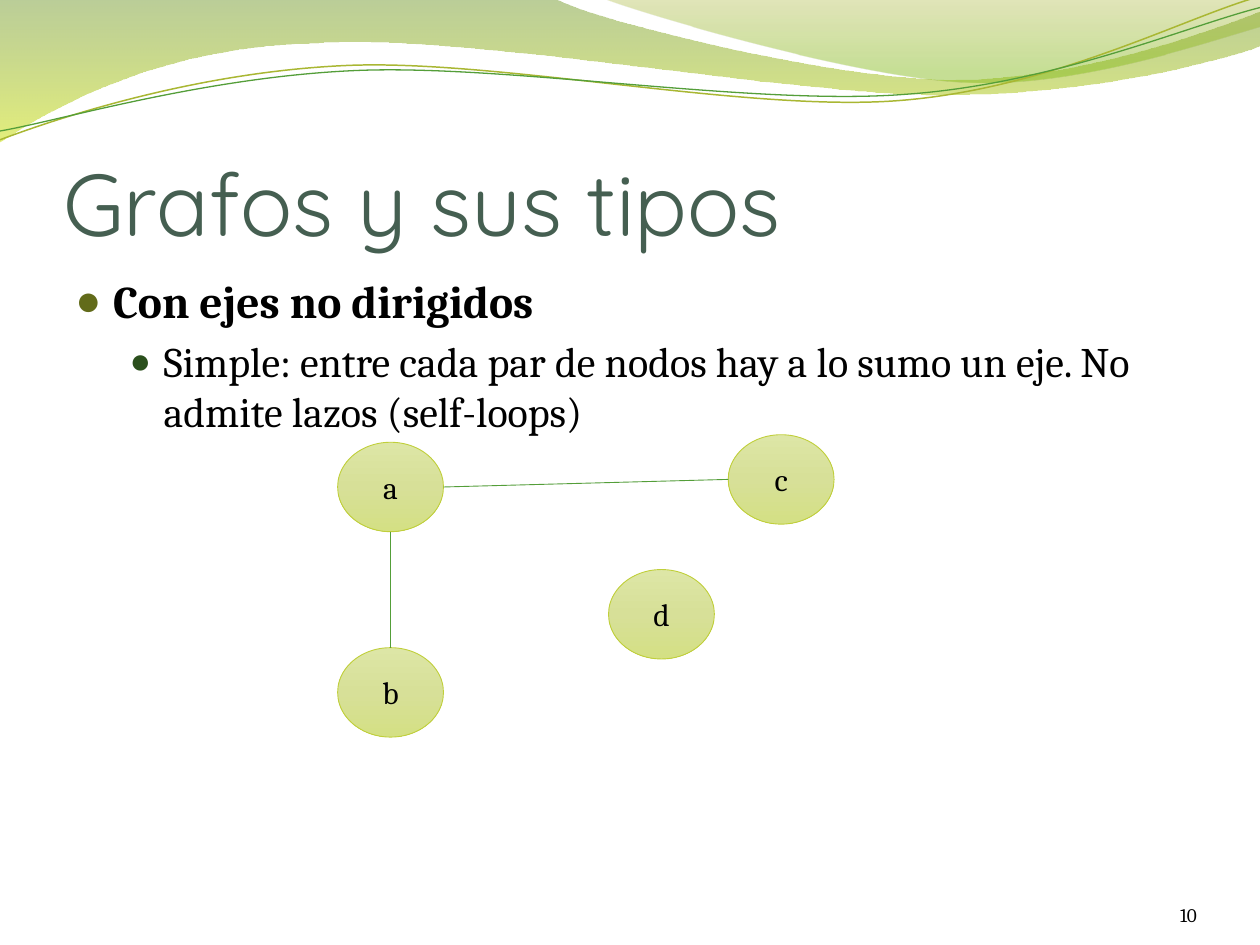
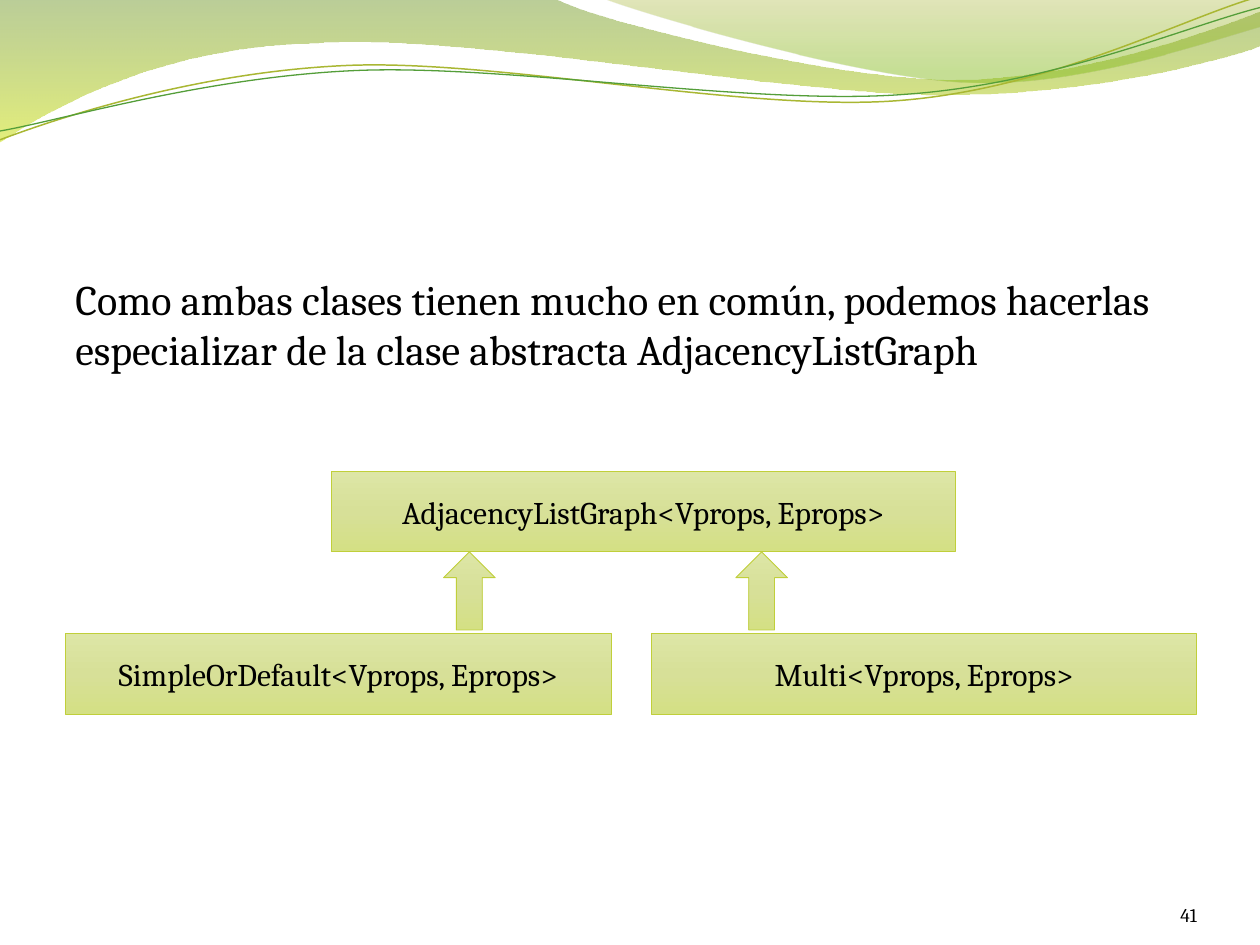
import pptx
import pptx.util
import pptx.dml.color
import pptx.enum.shapes
import pptx.enum.text
import pptx.oxml.ns
import lxml.etree

Inches = pptx.util.Inches
Pt = pptx.util.Pt
SHAPE = pptx.enum.shapes.MSO_SHAPE
ALIGN = pptx.enum.text.PP_ALIGN
ANCHOR = pptx.enum.text.MSO_ANCHOR
qn = pptx.oxml.ns.qn

BLACK = "000000"
TITLE_COLOR = "455F51"
EDGE_COLOR = "549E39"
BOX_LINE = "C0CF3A"
BOX_STOPS = [(0, "DDE6A6", 100), (50, "D7E098", 100), (100, "D4E084", 100)]
BODY_FONT = "Cambria"
TITLE_FONT = "Quicksand"
BULLET_FONT = "Arial"
BODY_BOX = (0.5, 2.12, 9, 4.8)
NUMBER_BOX = (8.67, 6.95, 0.83, 0.4)
NO_MARGINS = dict(margin_left=0, margin_right=0, margin_top=0, margin_bottom=0)
NODE_WIDTH, NODE_HEIGHT = 0.84, 0.71
BOX_HEIGHT = 0.64
FIRST_MASTER_ID = 100

BANDS = [
    {
        "start": (0, 0),
        "segments": [
            [(4.4, -0.01)],
            [(4.75, 0.17), (6.63, 0.63), (7.58, 0.63)],
            [(8.53, 0.63), (9.58, 0.26), (10, 0.09)],
            [(10.01, 0.36)],
            [(9.83, 0.44), (8.69, 0.76), (7.46, 0.75)],
            [(6.22, 0.75), (3.81, 0.28), (2.57, 0.34)],
            [(1.29, 0.36), (0.46, 0.83), (-0.01, 1.13)],
            [(0, 0)],
        ],
        "stops": [(0, "69921C", 45), (100, "CCE10F", 55)],
    },
    {
        "start": (4.79, -0.01),
        "segments": [
            [(5.09, 0.11), (6.82, 0.62), (7.68, 0.65)],
            [(8.55, 0.69), (9.61, 0.32), (10, 0.21)],
            [(10, 0)],
            [(4.79, -0.01)],
        ],
        "stops": [(0, "9BAA1A", 30), (80, "81BA16", 45)],
    },
    {
        "start": (0, 1.11),
        "segments": [
            [(0.48, 0.93), (1.57, 0.57), (2.76, 0.52)],
            [(3.95, 0.47), (5.92, 0.89), (7.12, 0.8)],
            [(8.33, 0.71), (9.38, 0.15), (9.97, -0.02)],
        ],
        "line": ("A9B733", 0.85),
    },
    {
        "start": (0, 1.04),
        "segments": [
            [(0.47, 0.96), (1.63, 0.61), (2.83, 0.56)],
            [(4.02, 0.51), (5.97, 0.84), (7.17, 0.75)],
            [(8.36, 0.67), (9.41, 0.21), (10, 0.06)],
        ],
        "line": (EDGE_COLOR, 0.75),
    },
]


def rgb(value):
    return pptx.dml.color.RGBColor.from_string(value)


def apply_format(target, values):
    for name, value in values.items():
        setattr(target, name, value)


def inches(values):
    return [Inches(value) for value in values]


def add_xml(parent, tag, **attributes):
    return lxml.etree.SubElement(parent, qn(tag), attributes)


def set_gradient(shape, stops):
    shape.fill.gradient()
    shape.fill.gradient_angle = 270
    stop_list = shape._element.spPr.find(".//" + qn("a:gsLst"))
    for stop in list(stop_list):
        stop_list.remove(stop)
    for position, color, opacity in stops:
        stop = add_xml(stop_list, "a:gs", pos=str(position * 1000))
        color_element = add_xml(stop, "a:srgbClr", val=color)
        if opacity < 100:
            add_xml(color_element, "a:alpha", val=str(opacity * 1000))


def set_line(shape, color, width):
    shape.line.color.rgb = rgb(color)
    shape.line.width = Pt(width)


def write_text(paragraph, text, size, font=BODY_FONT, color=BLACK, bold=False, **layout):
    apply_format(paragraph, layout)
    run = paragraph.add_run()
    run.text = text
    apply_format(run.font, dict(size=Pt(size), name=font, bold=bold))
    run.font.color.rgb = rgb(color)


def set_bullet(paragraph, margin, hang, color, percent):
    properties = paragraph._p.get_or_add_pPr()
    properties.set("marL", str(Inches(margin)))
    properties.set("indent", str(-Inches(hang)))
    add_xml(add_xml(properties, "a:buClr"), "a:srgbClr", val=color)
    add_xml(properties, "a:buSzPct", val=str(percent * 1000))
    add_xml(properties, "a:buFont", typeface=BULLET_FONT)
    add_xml(properties, "a:buChar", char="●")


def bend_segments(shape, segments):
    lines = iter(list(shape._element.iter(qn("a:lnTo"))))
    for segment in segments:
        parts = [next(lines) for point in segment]
        if len(parts) == 3:
            outline = parts[0].getparent()
            curve = lxml.etree.Element(qn("a:cubicBezTo"))
            outline.insert(outline.index(parts[0]), curve)
            for part in parts:
                curve.append(part[0])
                outline.remove(part)


def add_band(group, start, segments, stops=None, line=None):
    builder = group.shapes.build_freeform(*inches(start))
    points = [inches(point) for segment in segments for point in segment]
    builder.add_line_segments(points, close=stops is not None)
    shape = builder.convert_to_shape()
    bend_segments(shape, segments)
    shape.shadow.inherit = False
    if stops:
        set_gradient(shape, stops)
    else:
        shape.fill.background()
    if line:
        set_line(shape, *line)
    else:
        shape.line.fill.background()


def move_bands_to_master(presentation, slide):
    group = slide.shapes.add_group_shape()
    for band in BANDS:
        add_band(group, **band)
    properties = group._element.iter(qn("p:cNvPr"))
    for number, element in enumerate(properties, FIRST_MASTER_ID):
        element.set("id", str(number))
    presentation.slide_master.shapes._spTree.insert(2, group._element)


def add_text_box(slide, box, **frame_format):
    frame = slide.shapes.add_textbox(*inches(box)).text_frame
    apply_format(frame, dict(word_wrap=True, **frame_format))
    return frame


def add_slide(presentation, layout_index, number):
    slide = presentation.slides.add_slide(presentation.slide_layouts[layout_index])
    frame = add_text_box(slide, NUMBER_BOX, vertical_anchor=ANCHOR.BOTTOM, **NO_MARGINS)
    write_text(frame.paragraphs[0], number, 11, alignment=ALIGN.RIGHT)
    return slide


def set_title(slide, text):
    title = slide.shapes.title
    left, top, width, height = inches((0.5, 0.77, 9, 1.25))
    apply_format(title, dict(left=left, top=top, width=width, height=height))
    frame = title.text_frame
    margins = dict(NO_MARGINS, margin_top=Inches(0.05))
    apply_format(frame, dict(vertical_anchor=ANCHOR.BOTTOM, word_wrap=True, **margins))
    write_text(frame.paragraphs[0], text, 50, TITLE_FONT, TITLE_COLOR, alignment=ALIGN.LEFT)


def add_green_shape(slide, kind, box, text=""):
    shape = slide.shapes.add_shape(kind, *inches(box))
    shape.shadow.inherit = False
    set_gradient(shape, BOX_STOPS)
    set_line(shape, BOX_LINE, 0.5)
    if text:
        shape.text_frame.vertical_anchor = ANCHOR.MIDDLE
        write_text(shape.text_frame.paragraphs[0], text, 18, alignment=ALIGN.CENTER)


def add_edge(slide, begin, end):
    connector = slide.shapes.add_connector(
        pptx.enum.shapes.MSO_CONNECTOR.STRAIGHT, *inches(begin), *inches(end))
    set_line(connector, EDGE_COLOR, 0.5)
    add_xml(connector._element.spPr, "a:effectLst")


def build_graph_slide(presentation):
    slide = add_slide(presentation, 5, "10")
    set_title(slide, "Grafos y sus tipos")
    frame = add_text_box(slide, BODY_BOX)
    heading = frame.paragraphs[0]
    write_text(heading, "Con ejes no dirigidos", 26, bold=True, space_before=Pt(5))
    set_bullet(heading, 0.3, 0.3, "626B1A", 95)
    detail = frame.add_paragraph()
    write_text(
        detail,
        "Simple: entre cada par de nodos hay a lo sumo un eje. No admite lazos (self-loops)",
        24, level=1, space_before=Pt(4.4))
    set_bullet(detail, 0.7, 0.27, "2A4F1C", 85)

    nodes = {"a": (2.68, 3.51), "c": (5.78, 3.45), "b": (2.68, 5.14), "d": (4.83, 4.52)}
    for name, (left, top) in nodes.items():
        add_green_shape(slide, SHAPE.OVAL, (left, top, NODE_WIDTH, NODE_HEIGHT), name)

    def node_point(name, across, down):
        left, top = nodes[name]
        return left + across * NODE_WIDTH, top + down * NODE_HEIGHT

    add_edge(slide, node_point("a", 1, 0.5), node_point("c", 0, 0.5))
    add_edge(slide, node_point("a", 0.5, 1), node_point("b", 0.5, 0))
    return slide


def build_class_slide(presentation):
    slide = add_slide(presentation, 6, "41")
    frame = add_text_box(slide, BODY_BOX)
    write_text(
        frame.paragraphs[0],
        "Como ambas clases tienen mucho en común, podemos hacerlas especializar "
        "de la clase abstracta AdjacencyListGraph",
        24, space_before=Pt(4.4))
    classes = [
        ("AdjacencyListGraph", 2.63, 3.74, 4.95),
        ("SimpleOrDefault", 0.52, 5.03, 4.33),
        ("Multi", 5.17, 5.03, 4.33),
    ]
    for name, left, top, width in classes:
        box = (left, top, width, BOX_HEIGHT)
        add_green_shape(slide, SHAPE.RECTANGLE, box, f"{name}<Vprops, Eprops>")
    for left in (3.52, 5.84):
        add_green_shape(slide, SHAPE.UP_ARROW, (left, 4.38, 0.41, 0.62))


def main():
    presentation = pptx.Presentation()
    apply_format(presentation, dict(slide_width=Inches(10), slide_height=Inches(7.5)))
    graph_slide = build_graph_slide(presentation)
    move_bands_to_master(presentation, graph_slide)
    build_class_slide(presentation)
    presentation.save("out.pptx")


if __name__ == "__main__":
    main()
